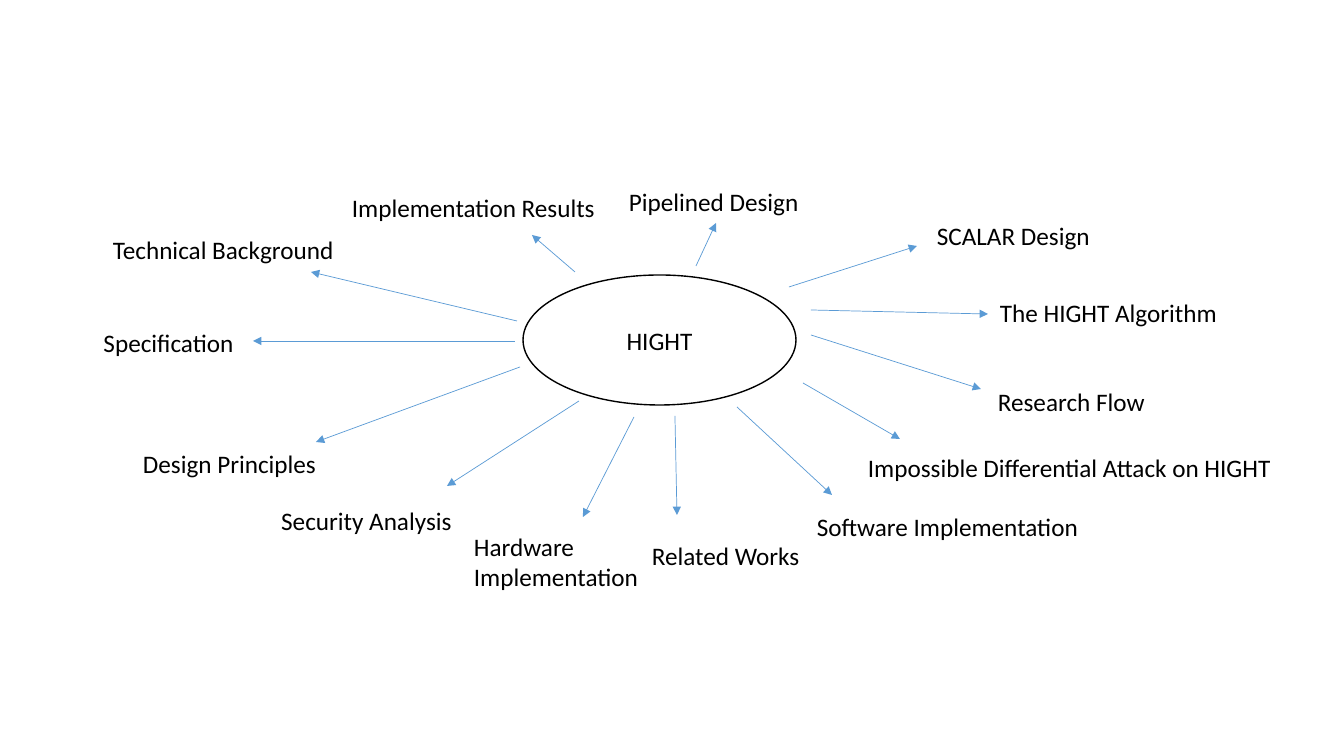
from pptx import Presentation
from pptx import util as u
from pptx.dml.color import RGBColor
from pptx.enum import shapes, text
from pptx.oxml.ns import qn
from lxml import etree

def px(n):
    return round(n * 914400 / 100.8)

def style(frame, align):
    para = frame.paragraphs[0]
    para.alignment = align
    para.font.name = "Calibri"
    para.font.size = u.Pt(18)
    para.font.color.rgb = RGBColor.from_string("000000")

deck = Presentation()
deck.slide_width, deck.slide_height = px(1344), px(756)
slide = deck.slides.add_slide(deck.slide_layouts[6])
left, mid = text.PP_ALIGN.LEFT, text.PP_ALIGN.CENTER

hub = slide.shapes.add_shape(shapes.MSO_SHAPE.OVAL, px(523), px(275), px(273), px(130))
hub.shadow.inherit = False
hub.fill.solid()
hub.fill.fore_color.rgb = RGBColor.from_string("FFFFFF")
hub.line.color.rgb = RGBColor.from_string("000000")
hub.line.width = u.Pt(1)
hub.text_frame.text = "HIGHT"
hub.text_frame.vertical_anchor = text.MSO_ANCHOR.MIDDLE
style(hub.text_frame, mid)

topics = [
    ("Specification", 40, 322, 257, mid, (515, 341, 253, 341)),
    ("Design Principles", 101, 443, 257, mid, (520, 367, 316, 442)),
    ("Security Analysis", 238, 500, 257, mid, (579, 401, 447, 486)),
    ("Hardware Implementation", 464, 526, 192, left, (634, 417, 583, 517)),
    ("Related Works", 642, 535, 169, left, (675, 416, 677, 515)),
    ("Software Implementation", 807, 506, 285, left, (737, 407, 832, 495)),
    ("Impossible Differential Attack on HIGHT", 858, 447, 428, left, (803, 383, 900, 439)),
    ("Research Flow", 988, 381, 168, left, (811, 335, 981, 389)),
    ("The HIGHT Algorithm", 990, 292, 240, left, (811, 310, 988, 314)),
    ("SCALAR Design", 927, 215, 175, left, (789, 287, 917, 246)),
    ("Pipelined Design", 619, 181, 193, left, (696, 266, 716, 223)),
    ("Implementation Results", 342, 187, 266, left, (575, 272, 532, 235)),
    ("Technical Background", 103, 229, 244, left, (517, 321, 311, 272)),
]
for name, x, y, wide, align, ends in topics:
    wrap = name.startswith("Hardware")
    box = slide.shapes.add_textbox(px(x), px(y), px(wide), px(72 if wrap else 40))
    box.text_frame.word_wrap = wrap
    box.text_frame.text = name
    style(box.text_frame, align)

    arrow = slide.shapes.add_connector(shapes.MSO_CONNECTOR.STRAIGHT, *map(px, ends))
    arrow.line.color.rgb = RGBColor.from_string("5B9BD5")
    arrow.line.width = u.Pt(0.5)
    etree.SubElement(arrow.line._get_or_add_ln(), qn("a:tailEnd"), type="triangle")
    etree.SubElement(arrow._element.spPr, qn("a:effectLst"))

deck.save("out.pptx")
